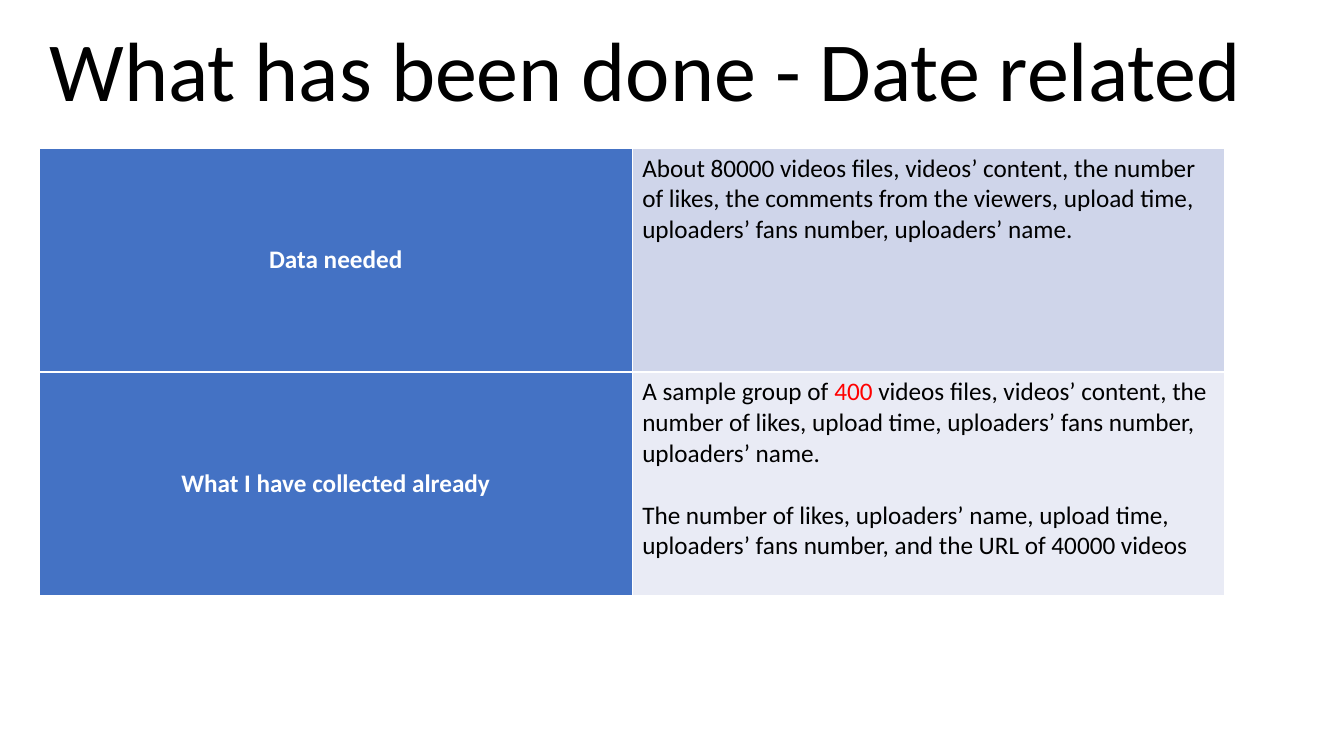
import pptx
import pptx.dml.color
import pptx.enum.text
import pptx.util

RGBColor = pptx.dml.color.RGBColor
PP_ALIGN = pptx.enum.text.PP_ALIGN
MSO_ANCHOR = pptx.enum.text.MSO_ANCHOR
Inches = pptx.util.Inches
Pt = pptx.util.Pt

BLACK = RGBColor(0x00, 0x00, 0x00)
WHITE = RGBColor(0xFF, 0xFF, 0xFF)
RED = RGBColor(0xFF, 0x00, 0x00)
BLUE = RGBColor(0x44, 0x72, 0xC4)
BAND_DARK = RGBColor(0xCF, 0xD5, 0xEA)
BAND_LIGHT = RGBColor(0xE9, 0xEB, 0xF5)

FONT = "Calibri"
LEFT = Inches(0.39)
COL_WIDTH = Inches(5.88)
ROW_HEIGHT = Inches(2.22)

ROWS = [
    ("Data needed", BAND_DARK, [
        [("About 80000 videos files, videos’ content, the number of likes, "
          "the comments from the viewers, upload time, uploaders’ fans number, "
          "uploaders’ name.", BLACK)],
    ]),
    ("What I have collected already", BAND_LIGHT, [
        [("A sample group of ", BLACK), ("400", RED),
         (" videos files, videos’ content, the number of likes, upload time, "
          "uploaders’ fans number, uploaders’ name.", BLACK)],
        [("The number of likes, uploaders’ name, upload time, "
          "uploaders’ fans number, and the URL of 40000 videos", BLACK)],
    ]),
]


def add_run(p, text, size, color, bold=False):
    """Append a formatted run to a paragraph."""
    r = p.add_run()
    r.text = text
    r.font.name = FONT
    r.font.size = Pt(size)
    r.font.bold = bold
    r.font.color.rgb = color


def set_title(slide, text):
    """Place and format the title placeholder."""
    sp = slide.shapes.title
    sp.left, sp.top = LEFT, Inches(-0.02)
    sp.width, sp.height = Inches(12.22), Inches(1.26)
    tf = sp.text_frame
    tf.auto_size = pptx.enum.text.MSO_AUTO_SIZE.NONE
    tf.vertical_anchor = MSO_ANCHOR.BOTTOM
    p = tf.paragraphs[0]
    p.alignment = PP_ALIGN.LEFT
    p.line_spacing = 0.9
    add_run(p, text, 60, BLACK)


def fill_cell(cell, color):
    """Give a cell a solid fill."""
    cell.fill.solid()
    cell.fill.fore_color.rgb = color


def set_label(cell, text):
    """Write a centred bold row label."""
    fill_cell(cell, BLUE)
    cell.vertical_anchor = MSO_ANCHOR.MIDDLE
    p = cell.text_frame.paragraphs[0]
    p.alignment = PP_ALIGN.CENTER
    add_run(p, text, 18, WHITE, bold=True)


def set_details(cell, color, paragraphs):
    """Write paragraphs of coloured runs, one line apart."""
    fill_cell(cell, color)
    tf = cell.text_frame
    for i, runs in enumerate(paragraphs):
        p = tf.add_paragraph() if i else tf.paragraphs[0]
        p.space_before = Pt(22 if i else 0)
        for text, run_color in runs:
            add_run(p, text, 18, run_color)


def add_data_table(slide, rows):
    """Add the table of labels and details."""
    table = slide.shapes.add_table(
        len(rows), 2, LEFT, Inches(1.47),
        2 * COL_WIDTH, len(rows) * ROW_HEIGHT).table
    table.first_row = False
    table.horz_banding = False
    for column in table.columns:
        column.width = COL_WIDTH
    for i, (label, color, paragraphs) in enumerate(rows):
        table.rows[i].height = ROW_HEIGHT
        set_label(table.cell(i, 0), label)
        set_details(table.cell(i, 1), color, paragraphs)


def main():
    """Build and save the slide."""
    prs = pptx.Presentation()
    prs.slide_width, prs.slide_height = Inches(13.33), Inches(7.5)
    slide = prs.slides.add_slide(prs.slide_layouts[5])
    set_title(slide, "What has been done - Date related")
    add_data_table(slide, ROWS)
    prs.save("out.pptx")


if __name__ == "__main__":
    main()
